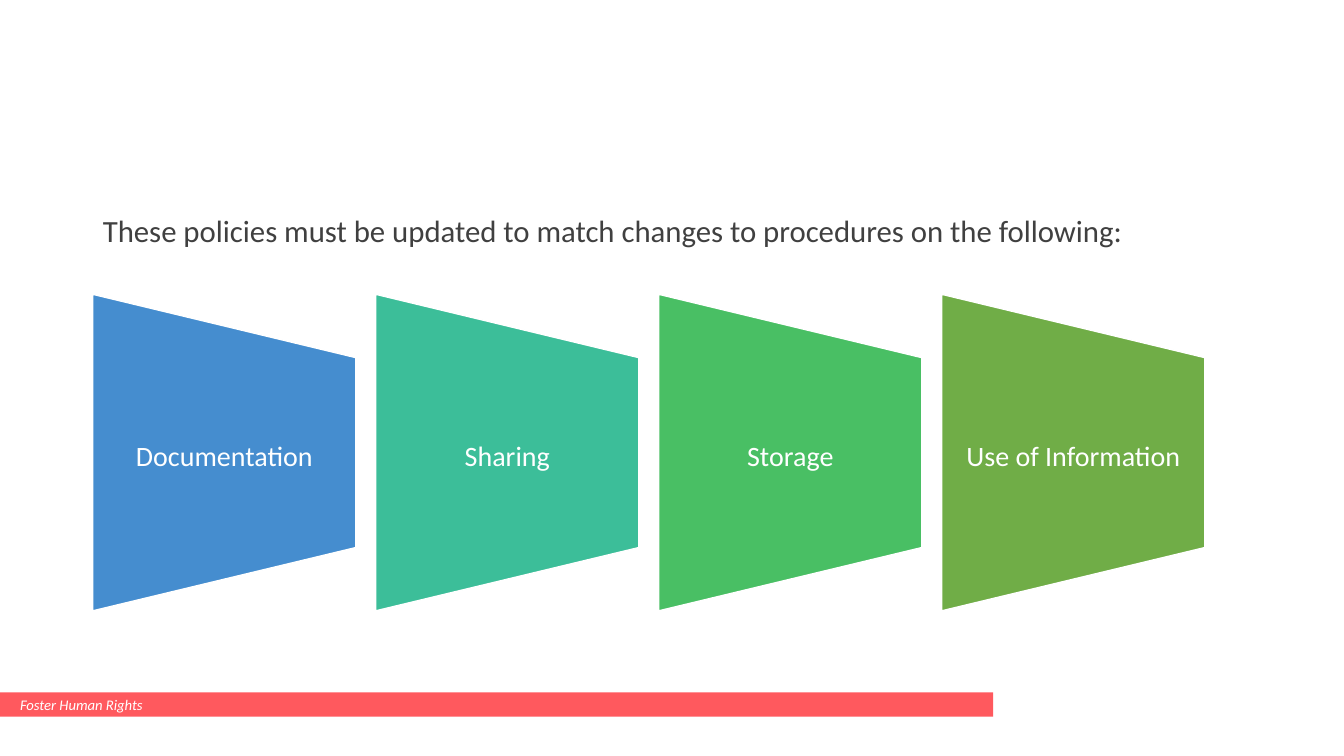
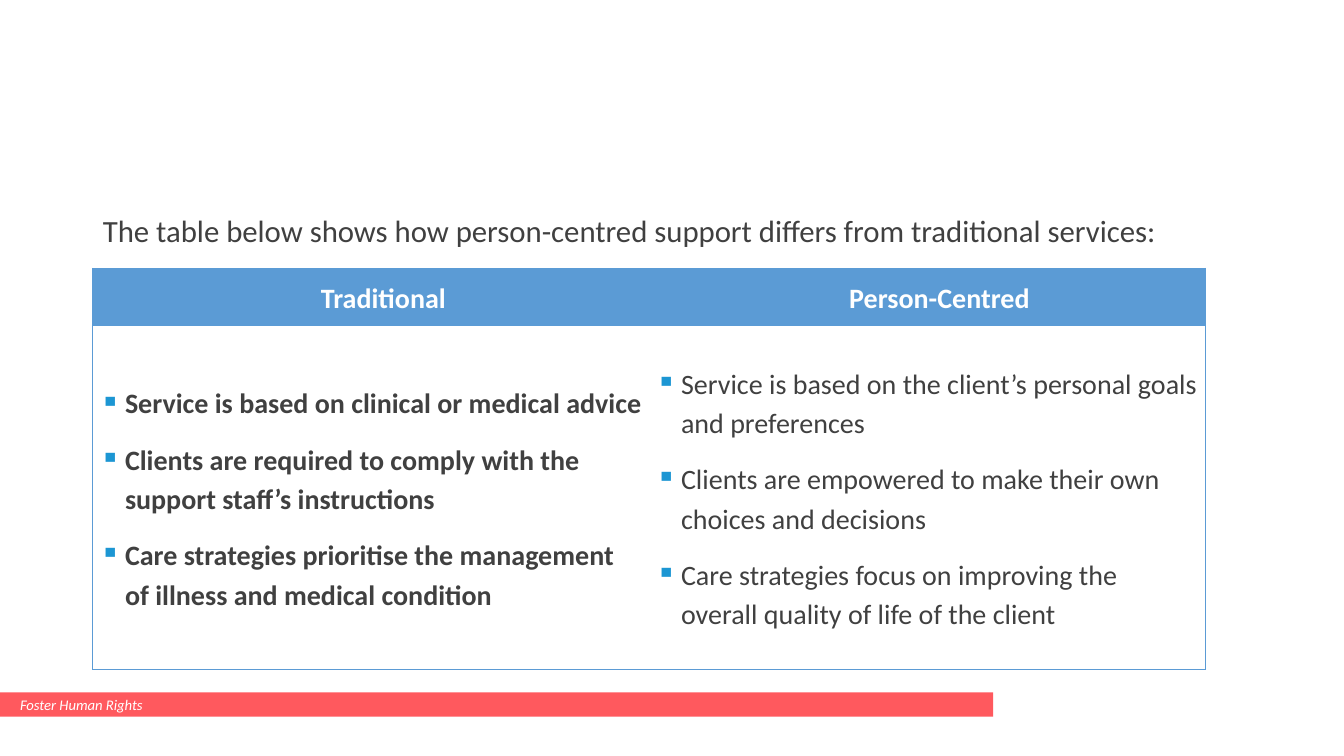
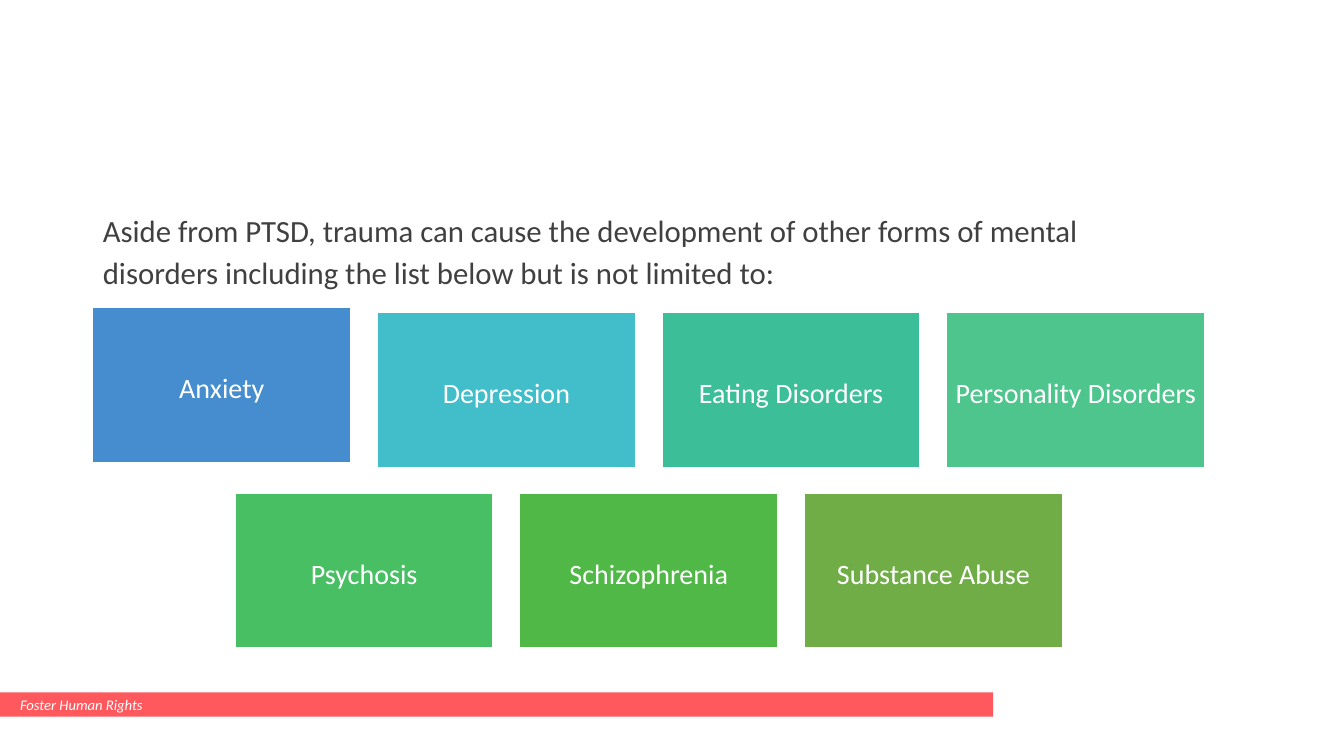
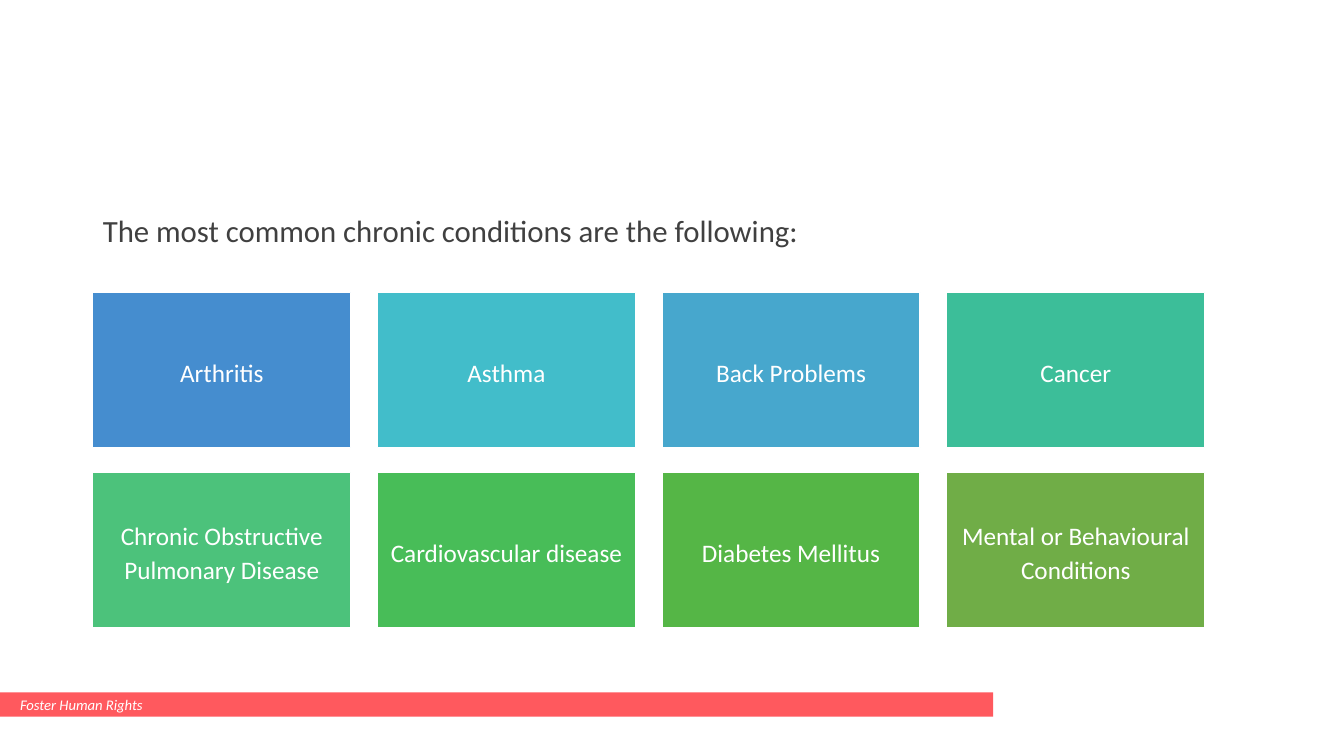
from dataclasses import dataclass
from typing import NamedTuple, Optional

from lxml import etree
from pptx import Presentation
from pptx import util as u
from pptx.dml import color
from pptx.enum import shapes, text
from pptx.oxml import ns

SLIDE_W, SLIDE_H = 13.33, 7.5
LEFT, CONTENT_W = 0.92, 11.03
COLUMNS = 4
FONT = "Calibri"
WHITE, INK, CORAL = "FFFFFF", "404040", "FF595E"
HEADER_BLUE, BULLET_BLUE = "5B9BD5", "1C96D3"
BLUE, TEAL, GREEN, OLIVE = "458DCF", "3CBE99", "49BF64", "70AD47"
CYAN = "42BDCA"
TILE_W, TILE_H, TILE_ROW_GAP = 2.56, 1.54, 0.25
FUNNEL_W, FUNNEL_H, FUNNEL_TOP = 2.61, 3.14, 2.92


class Box(NamedTuple):
    left: float
    top: float
    width: float
    height: float

    def emu(self) -> list:
        return [u.Inches(v) for v in self]


@dataclass
class Tile:
    label: str
    fill: str
    lift: float = 0


@dataclass
class Style:
    size: float
    color: str = WHITE
    bold: bool = False
    italic: bool = False
    align: Optional[text.PP_ALIGN] = None
    spacing: Optional[float] = 1.14
    after: float = 6
    margin: float = 0
    indent: float = 0
    bullet: Optional[str] = None


INTRO = Style(22, INK)
FOOTER = Style(10.5, italic=True, spacing=None, after=0, margin=0.1)
LABEL = Style(20, align=text.PP_ALIGN.CENTER)
SMALL_LABEL = Style(18, align=text.PP_ALIGN.CENTER)
HEADING = Style(20, bold=True, align=text.PP_ALIGN.CENTER, spacing=1.15,
                margin=0.5, indent=-0.25)
PLAIN_ITEM = Style(20, INK, spacing=1.15, margin=0.25, indent=-0.25, bullet="▪")
BOLD_ITEM = Style(20, INK, bold=True, spacing=1.15, margin=0.25, indent=-0.25, bullet="▪")


def rgb(value: str) -> color.RGBColor:
    return color.RGBColor.from_string(value)


def element(parent, tag: str, **attrs: str):
    return etree.SubElement(parent, ns.qn(tag), attrs)


def write(tf, lines: list[str], style: Style) -> None:
    tf.word_wrap = True
    for i, line in enumerate(lines):
        p = tf.add_paragraph() if i else tf.paragraphs[0]
        pPr = p._p.get_or_add_pPr()
        pPr.set("marL", str(u.Inches(style.margin)))
        pPr.set("indent", str(u.Inches(style.indent)))
        if style.bullet:
            element(element(pPr, "a:buClr"), "a:srgbClr", val=BULLET_BLUE)
            element(pPr, "a:buChar", char=style.bullet)
        else:
            element(pPr, "a:buNone")
        p.alignment = style.align
        p.line_spacing = style.spacing
        p.space_before = u.Pt(6 if i else 0)
        p.space_after = u.Pt(style.after)
        r = p.add_run()
        r.text = line
        r.font.name = FONT
        r.font.size = u.Pt(style.size)
        r.font.bold = style.bold
        r.font.italic = style.italic
        r.font.color.rgb = rgb(style.color)


def set_insets(tf, x: float, y: float) -> None:
    tf.margin_left = tf.margin_right = u.Inches(x)
    tf.margin_top = tf.margin_bottom = u.Inches(y)
    tf.vertical_anchor = text.MSO_ANCHOR.MIDDLE


def add_block(s, preset, box: Box, fill: str, outline: Optional[str] = WHITE):
    sp = s.shapes.add_shape(preset, *box.emu())
    sp.shadow.inherit = False
    sp.fill.solid()
    sp.fill.fore_color.rgb = rgb(fill)
    if outline:
        sp.line.color.rgb = rgb(outline)
        sp.line.width = u.Pt(1)
    else:
        sp.line.fill.background()
    return sp


def add_page(prs, intro: str):
    s = prs.slides.add_slide(prs.slide_layouts[1])
    title = s.shapes.title._element
    title.getparent().remove(title)
    body = s.placeholders[1]
    body.left, body.top, body.width, body.height = Box(LEFT, 2, CONTENT_W, 4.76).emu()
    tf = body.text_frame
    tf.auto_size = text.MSO_AUTO_SIZE.NONE
    tf.vertical_anchor = text.MSO_ANCHOR.TOP
    write(tf, [intro], INTRO)
    band = add_block(s, shapes.MSO_SHAPE.RECTANGLE, Box(0, 6.87, 9.85, 0.24), CORAL, None)
    band.text_frame.vertical_anchor = text.MSO_ANCHOR.MIDDLE
    write(band.text_frame, ["Foster Human Rights"],
          FOOTER)
    band.text_frame.paragraphs[0].alignment = text.PP_ALIGN.LEFT
    return s


def column_lefts(count: int, width: float) -> list[float]:
    gap = (CONTENT_W - COLUMNS * width) / (COLUMNS - 1)
    start = LEFT + (CONTENT_W - count * width - (count - 1) * gap) / 2
    return [start + i * (width + gap) for i in range(count)]


def add_funnels(s, tiles: list[Tile]) -> None:
    middle = FUNNEL_TOP + FUNNEL_H / 2
    label_h = FUNNEL_H * 0.6
    for tile, left in zip(tiles, column_lefts(len(tiles), FUNNEL_W)):
        upright = Box(left + (FUNNEL_W - FUNNEL_H) / 2, middle - FUNNEL_W / 2,
                      FUNNEL_H, FUNNEL_W)
        sp = add_block(s, shapes.MSO_SHAPE.FLOWCHART_MANUAL_OPERATION, upright, tile.fill)
        sp.rotation = 270
        label = Box(left, middle - label_h / 2, FUNNEL_W, label_h)
        tf = s.shapes.add_textbox(*label.emu()).text_frame
        set_insets(tf, 0.14, 0)
        write(tf, [tile.label], LABEL)


def add_tiles(s, top: float, tiles: list[Tile], style: Style, inset: float) -> None:
    for row, first in enumerate(range(0, len(tiles), COLUMNS)):
        row_tiles = tiles[first:first + COLUMNS]
        row_top = top + row * (TILE_H + TILE_ROW_GAP)
        for tile, left in zip(row_tiles, column_lefts(len(row_tiles), TILE_W)):
            box = Box(left, row_top - tile.lift, TILE_W, TILE_H)
            sp = add_block(s, shapes.MSO_SHAPE.RECTANGLE, box, tile.fill)
            set_insets(sp.text_frame, inset, inset)
            write(sp.text_frame, [tile.label], style)


def set_borders(cell, sides: str) -> None:
    tcPr = cell._tc.get_or_add_tcPr()
    for side in "LRTB":
        ln = element(tcPr, f"a:ln{side}", w=str(u.Pt(0.5)))
        if side in sides:
            element(element(ln, "a:solidFill"), "a:srgbClr", val=HEADER_BLUE)
        else:
            element(ln, "a:noFill")


def add_comparison(s, columns: dict[str, list[str]]) -> None:
    heights = (0.57, 3.41)
    box = Box(LEFT, 2.66, CONTENT_W, sum(heights))
    table = s.shapes.add_table(len(heights), len(columns), *box.emu()).table
    table.horz_banding = False
    for row, height in zip(table.rows, heights):
        row.height = u.Inches(height)
    for c, (heading, items) in enumerate(columns.items()):
        table.columns[c].width = u.Inches(CONTENT_W / len(columns))
        outer = "R" if c else "L"
        item_style = PLAIN_ITEM if c else BOLD_ITEM
        for r, (lines, style) in enumerate((([heading], HEADING), (items, item_style))):
            cell = table.cell(r, c)
            set_borders(cell, outer + "TB")
            cell.margin_left = cell.margin_right = u.Inches(0.07)
            cell.margin_top = cell.margin_bottom = 0
            cell.vertical_anchor = text.MSO_ANCHOR.MIDDLE
            if r:
                cell.fill.background()
            else:
                cell.fill.solid()
                cell.fill.fore_color.rgb = rgb(HEADER_BLUE)
            write(cell.text_frame, lines, style)


def main() -> None:
    prs = Presentation()
    prs.slide_width, prs.slide_height = u.Inches(SLIDE_W), u.Inches(SLIDE_H)

    s = add_page(prs, "These policies must be updated to match changes to procedures "
                      "on the following:")
    add_funnels(s, [
        Tile("Documentation", BLUE),
        Tile("Sharing", TEAL),
        Tile("Storage", GREEN),
        Tile("Use of Information", OLIVE),
    ])

    s = add_page(prs, "The table below shows how person-centred support differs from "
                      "traditional services:")
    add_comparison(s, {
        "Traditional": [
            "Service is based on clinical or medical advice",
            "Clients are required to comply with the support staff’s instructions",
            "Care strategies prioritise the management of illness and medical condition",
        ],
        "Person-Centred": [
            "Service is based on the client’s personal goals and preferences",
            "Clients are empowered to make their own choices and decisions",
            "Care strategies focus on improving the overall quality of life of the client",
        ],
    })

    s = add_page(prs, "Aside from PTSD, trauma can cause the development of other forms of "
                      "mental disorders including the list below but is not limited to:")
    add_tiles(s, 3.1, [
        Tile("Anxiety", BLUE, lift=0.05),
        Tile("Depression", CYAN),
        Tile("Eating Disorders", TEAL),
        Tile("Personality Disorders", "4DC58D"),
        Tile("Psychosis", GREEN),
        Tile("Schizophrenia", "50B846"),
        Tile("Substance Abuse", OLIVE),
    ], LABEL, 0.08)

    s = add_page(prs, "The most common chronic conditions are the following:")
    add_tiles(s, 2.9, [
        Tile("Arthritis", BLUE),
        Tile("Asthma", CYAN),
        Tile("Back Problems", "47A7CD"),
        Tile("Cancer", TEAL),
        Tile("Chronic Obstructive Pulmonary Disease", "4CC27B"),
        Tile("Cardiovascular disease", "48BD58"),
        Tile("Diabetes Mellitus", "55B646"),
        Tile("Mental or Behavioural Conditions", OLIVE),
    ], SMALL_LABEL, 0.07)

    prs.save("out.pptx")


if __name__ == "__main__":
    main()
